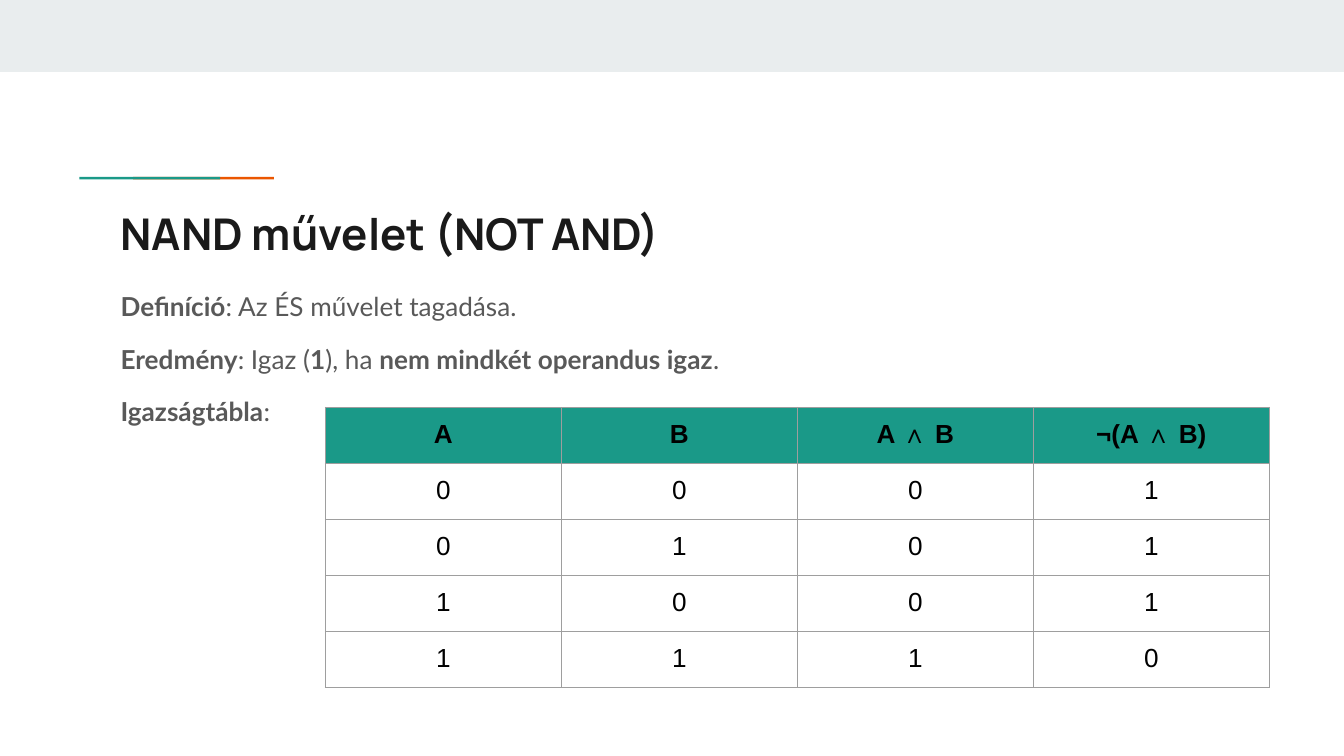
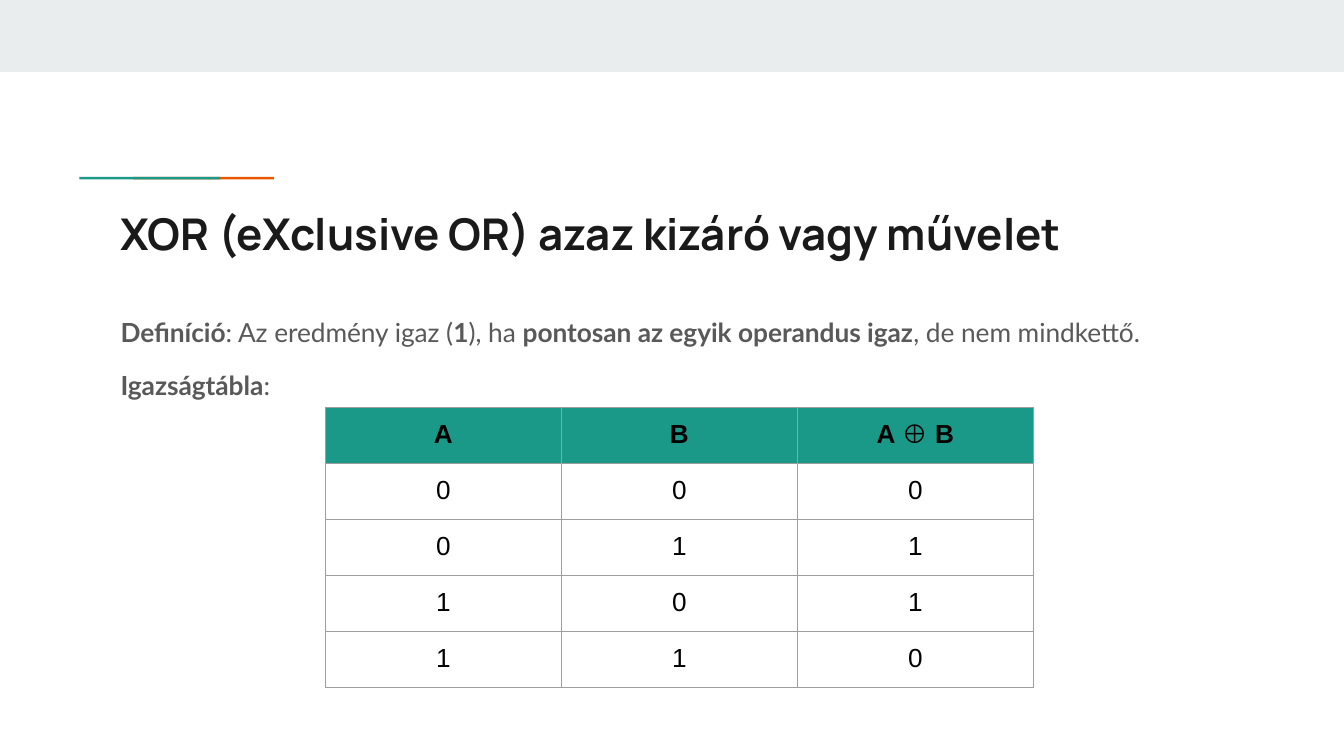
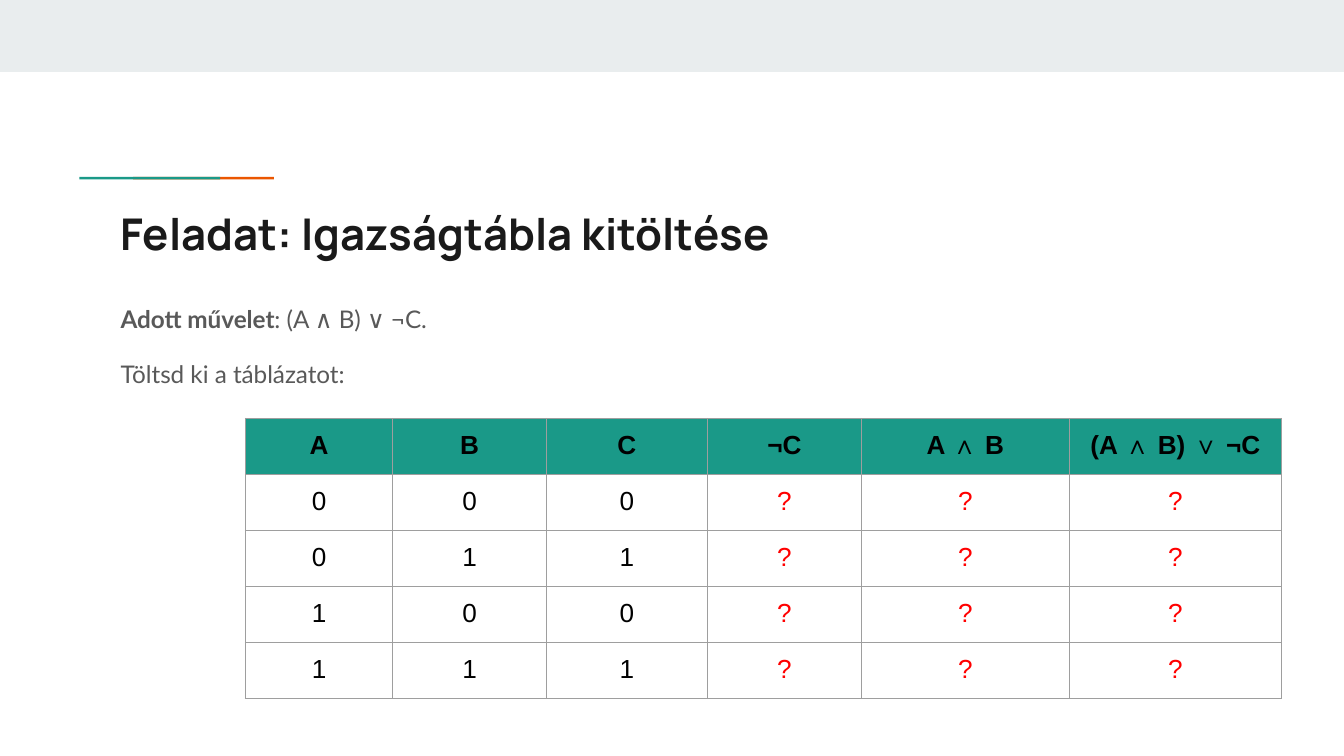
from lxml import etree
from pptx import Presentation
from pptx.dml.color import RGBColor
from pptx.enum.shapes import MSO_SHAPE
from pptx.enum.text import MSO_ANCHOR, PP_ALIGN
from pptx.oxml.ns import qn
from pptx.util import Cm, Pt

RECT = MSO_SHAPE.RECTANGLE
TOP = MSO_ANCHOR.TOP
MID = PP_ALIGN.CENTER

WIDE, HIGH = 25.4, 14.29
PAD, TRIM = 0.25, 0.23
ROW = 1.06
LEFT = 2.03

GREY, TEAL, FLAME = "E9EDEE", "1A9988", "EB5600"
INK, SLATE, EDGE = "1A1A1A", "595959", "9E9E9E"
BLACK, RED = "000000", "FF0000"

# Truth values of two inputs, in counting order
PAIRS = ["00", "01", "10", "11"]


def tint(code):
    return RGBColor.from_string(code)


def style(font, name, size, color, bold):
    font.name, font.size, font.bold = name, Pt(size), bold
    font.color.rgb = tint(color)


def add_bar(shapes, box, color):
    bar = shapes.add_shape(RECT, *map(Cm, box))
    bar.shadow.inherit = False
    bar.fill.solid()
    bar.fill.fore_color.rgb = tint(color)
    bar.line.fill.background()
    return bar


def pad(part, high):
    part.margin_left = part.margin_right = Cm(PAD)
    part.margin_top = part.margin_bottom = Cm(high)


def add_frame(slide, box):
    frame = slide.shapes.add_textbox(*map(Cm, box)).text_frame
    frame.word_wrap = True
    frame.vertical_anchor = TOP
    pad(frame, PAD)
    return frame


# Two upright bars turned flat; widening the group lengthens them
def add_mark(slide, left, top):
    group = slide.shapes.add_group_shape()
    for step, color in ((0.4, FLAME), (0, TEAL)):
        bar = add_bar(group.shapes, (left + step, top, 0.05, 1.05), color)
        bar.rotation = 270
    group.width = Cm(1.14)


# Top band, two-colour rule and title
def add_head(slide, title):
    add_bar(slide.shapes, (0, 0, WIDE, 1.36), GREY)
    add_mark(slide, 2.77, 2.84)
    frame = add_frame(slide, (LEFT, 3.66, 21.36, 1.5))
    frame.text = title
    style(frame.paragraphs[0].runs[0].font, "Manrope", 23.4, INK, True)


# Body lines; text between asterisks is bold
def add_body(slide, box, lines, size, space):
    frame = add_frame(slide, box)
    for i, line in enumerate(lines):
        para = frame.add_paragraph() if i else frame.paragraphs[0]
        para.line_spacing = space
        if i:
            para.space_before = Pt(12)
        for j, part in enumerate(line.split("*")):
            if part:
                run = para.add_run()
                run.text = part
                style(run.font, "Lato", size, SLATE, j % 2 == 1)


def add_edges(cell):
    props = cell._tc.get_or_add_tcPr()
    for side in ("lnL", "lnR", "lnT", "lnB"):
        line = etree.SubElement(props, qn("a:" + side), w=str(Pt(0.75)))
        fill = etree.SubElement(line, qn("a:solidFill"))
        etree.SubElement(fill, qn("a:srgbClr"), val=EDGE)


def fill_cell(cell, text, head):
    add_edges(cell)
    pad(cell, TRIM)
    if head:
        cell.fill.solid()
        cell.fill.fore_color.rgb = tint(TEAL)
    else:
        cell.fill.background()
    cell.text = text
    para = cell.text_frame.paragraphs[0]
    para.alignment = MID
    color = RED if text == "?" else BLACK
    style(para.runs[0].font, "Arial", 14, color, head)


# Truth table; each body row is a string with one mark per column
def add_truth(slide, left, top, widths, heads, rows):
    grid = [heads, *rows]
    table = slide.shapes.add_table(
        len(grid), len(heads), Cm(left), Cm(top),
        Cm(sum(widths)), Cm(ROW * len(grid))).table
    for col, width in zip(table.columns, widths):
        col.width = Cm(width)
    for i, marks in enumerate(grid):
        table.rows[i].height = Cm(ROW)
        for j, mark in enumerate(marks):
            fill_cell(table.cell(i, j), mark, i == 0)


def add_page(deck, title):
    slide = deck.slides.add_slide(deck.slide_layouts[6])
    add_head(slide, title)
    return slide


# Slide that defines one operation
def add_rule(deck, title, box, lines, size, heads, rows):
    slide = add_page(deck, title)
    add_body(slide, box, lines, size, 0.95)
    add_truth(slide, 6.15, 7.7, [4.46] * len(heads), heads, rows)


# Slide with a table to fill in
def add_task(deck):
    slide = add_page(deck, "Feladat: Igazságtábla kitöltése")
    add_body(slide, (LEFT, 5.41, 8.05, 2.24),
             ["*Adott művelet*: (A ∧ B) ∨ ¬C.", "Töltsd ki a táblázatot:"],
             13, 1.15)
    add_truth(slide, 4.64, 7.91, [2.78, 2.91, 3.04, 2.91, 3.93, 4.01],
              ["A", "B", "C", "¬C", "A ∧ B", "(A ∧ B) ∨ ¬C"],
              [pair + pair[1] + "???" for pair in PAIRS])


def main():
    deck = Presentation()
    deck.slide_width, deck.slide_height = Cm(WIDE), Cm(HIGH)
    add_rule(deck, "NAND művelet (NOT AND)", (LEFT, 5.29, 12.45, 4.04),
             ["*Definíció*: Az ÉS művelet tagadása.",
              "*Eredmény*: Igaz (*1*), ha *nem mindkét operandus igaz*.",
              "*Igazságtábla*:"],
             14, ["A", "B", "A ∧ B", "¬(A ∧ B)"],
             [p + ("10" if p == "11" else "01") for p in PAIRS])
    add_rule(deck, "XOR (eXclusive OR) azaz kizáró vagy művelet",
             (LEFT, 5.78, 20.19, 2.36),
             ["*Definíció*: Az eredmény igaz (*1*), ha *pontosan az egyik "
              "operandus igaz*, de nem mindkettő.",
              "*Igazságtábla*:"],
             14.1, ["A", "B", "A ⊕ B"],
             [p + str(int(p[0] != p[1])) for p in PAIRS])
    add_task(deck)
    deck.save("out.pptx")


if __name__ == "__main__":
    main()
